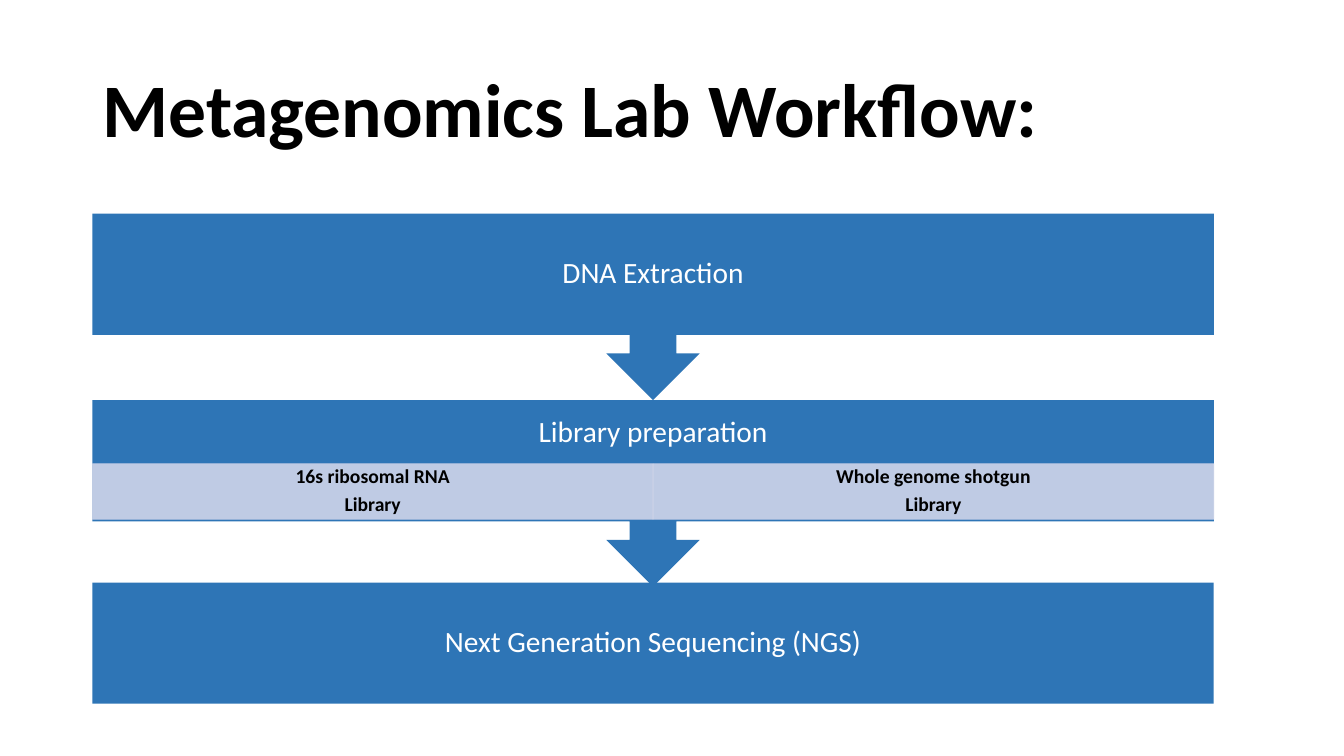
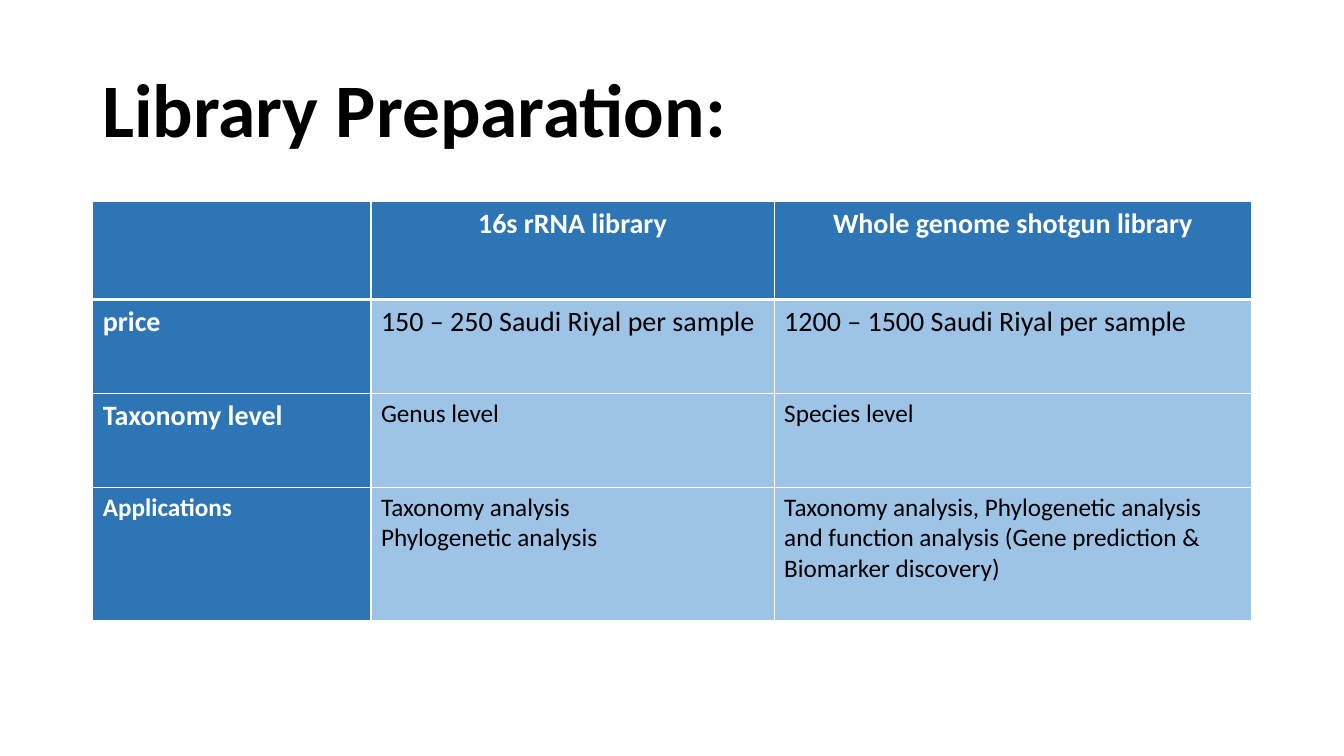
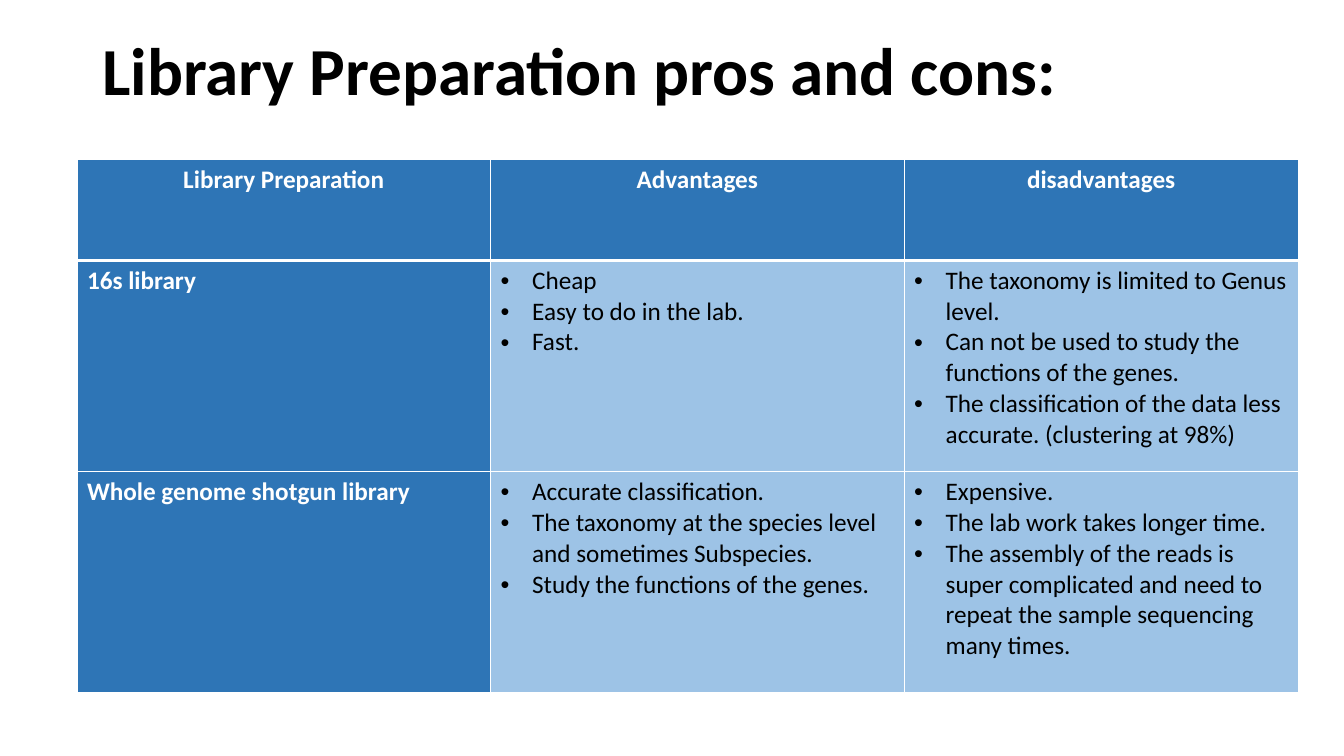
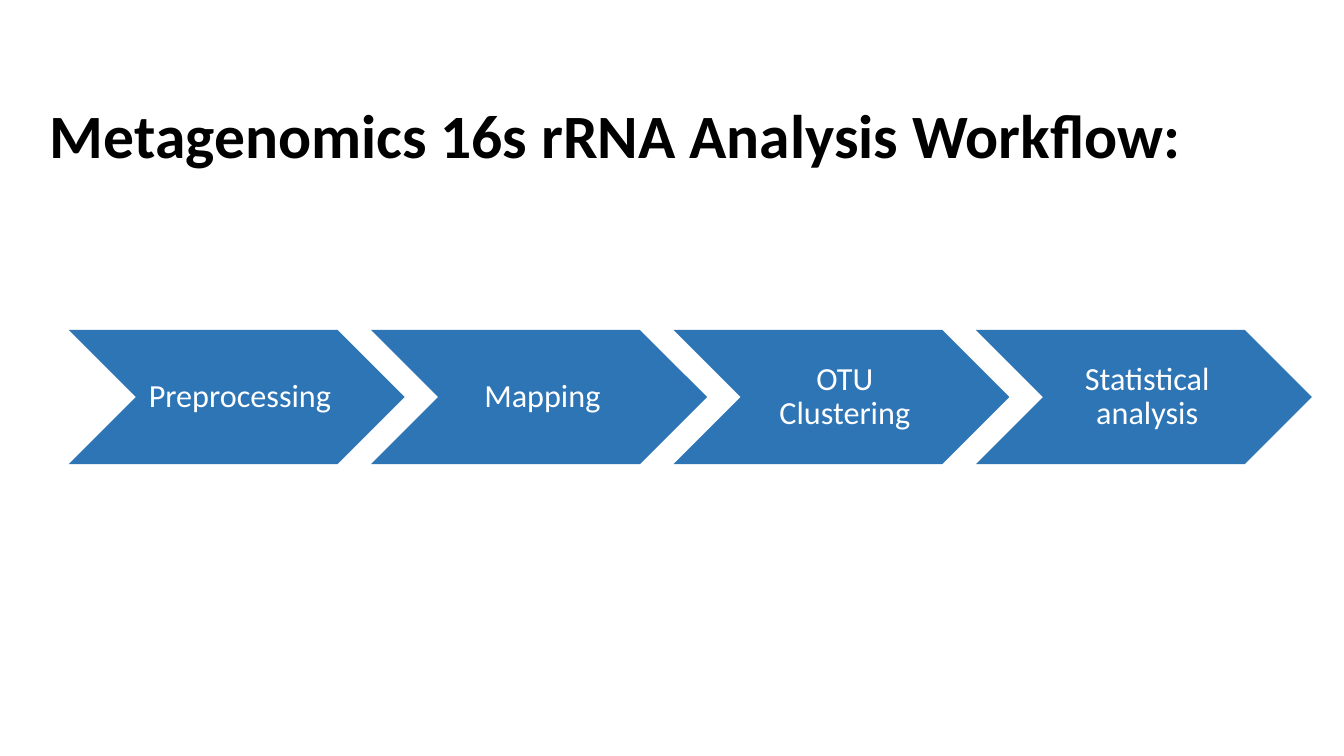
import dataclasses

import lxml.etree
import pptx
import pptx.dml.color
import pptx.enum.shapes
import pptx.enum.text
import pptx.oxml.ns
import pptx.util

Pt = pptx.util.Pt
SHAPE = pptx.enum.shapes.MSO_SHAPE
ALIGN = pptx.enum.text.PP_ALIGN
qn = pptx.oxml.ns.qn


@dataclasses.dataclass(frozen=True)
class Theme:
    font: str = "Calibri"
    blue: str = "2E75B6"
    sky: str = "9DC3E6"
    pale: str = "CFD5EA"
    white: str = "FFFFFF"
    black: str = "000000"
    title: int = 54
    title_medium: int = 48
    title_small: int = 44
    step: int = 23
    stage: int = 21
    cell_large: int = 20
    cell: int = 18
    option: int = 14


T = Theme()


def rgb(color):
    return pptx.dml.color.RGBColor.from_string(color)


def add_bullet(p):
    pPr = p._p.get_or_add_pPr()
    pPr.set("marL", str(Pt(22.5)))
    pPr.set("indent", str(-Pt(22.5)))
    lxml.etree.SubElement(pPr, qn("a:buFont"), typeface="Arial")
    lxml.etree.SubElement(pPr, qn("a:buChar"), char="•")


def put_text(tf, lines, size=T.cell, color=T.black, bold=False, align=ALIGN.LEFT,
             spacing=1.0, after=0, bullet=False):
    for i, line in enumerate(lines):
        p = tf.paragraphs[0] if i == 0 else tf.add_paragraph()
        p.alignment = align
        p.line_spacing = spacing
        p.space_before = Pt(0)
        p.space_after = Pt(after)
        if bullet:
            add_bullet(p)
        r = p.add_run()
        r.text = line
        r.font.name = T.font
        r.font.size = Pt(size)
        r.font.bold = bold
        r.font.color.rgb = rgb(color)


def add_slide(prs, title, size=T.title, box=(66, 29, 828, 104)):
    s = prs.slides.add_slide(prs.slide_layouts[5])
    sp = s.shapes.title
    sp.left, sp.top, sp.width, sp.height = map(Pt, box)
    tf = sp.text_frame
    tf.word_wrap = True
    tf.auto_size = pptx.enum.text.MSO_AUTO_SIZE.NONE
    tf.vertical_anchor = pptx.enum.text.MSO_ANCHOR.MIDDLE
    put_text(tf, [title], size=size, bold=True, spacing=0.9)
    return s


def add_block(s, kind, box, lines, fill=T.blue, insets=(0, 0, 0, 0), **fmt):
    sp = s.shapes.add_shape(kind, *map(Pt, box))
    sp.shadow.inherit = False
    sp.fill.solid()
    sp.fill.fore_color.rgb = rgb(fill)
    sp.line.fill.background()
    tf = sp.text_frame
    tf.word_wrap = True
    tf.vertical_anchor = pptx.enum.text.MSO_ANCHOR.MIDDLE
    tf.margin_left, tf.margin_top, tf.margin_right, tf.margin_bottom = map(Pt, insets)
    put_text(tf, lines, align=ALIGN.CENTER, spacing=0.9, **fmt)
    return sp


def set_alpha(fill_parent, percent):
    color = fill_parent.find(qn("a:solidFill")).find(qn("a:srgbClr"))
    lxml.etree.SubElement(color, qn("a:alpha"), val=str(percent * 1000))


def add_option(s, box, lines):
    sp = add_block(s, SHAPE.RECTANGLE, box, lines, fill=T.pale, insets=(8, 1.5, 8, 1.5),
                   size=T.option, bold=True, after=4.9)
    sp.line.color.rgb = rgb(T.pale)
    sp.line.width = Pt(0.5)
    spPr = sp._element.spPr
    set_alpha(spPr, 90)
    set_alpha(spPr.find(qn("a:ln")), 90)


def add_stages(s, box):
    x, y, w, h = box
    callout_h = 133.2
    bar_h = 86.4
    option_y, option_h = 45.5, 39.6
    fmt = dict(size=T.stage, color=T.white)
    add_block(s, SHAPE.RECTANGLE, (x, y + h - bar_h, w, bar_h),
              ["Next Generation Sequencing (NGS)"], **fmt)
    add_block(s, SHAPE.DOWN_ARROW_CALLOUT, (x, y + callout_h, w, callout_h),
              ["Library preparation"], insets=(0, 0, 0, option_h), **fmt)
    options = ["16s ribosomal RNA", "Whole genome shotgun"]
    option_w = w / len(options)
    for i, name in enumerate(options):
        add_option(s, (x + i * option_w, y + callout_h + option_y, option_w, option_h),
                   [name, "Library"])
    add_block(s, SHAPE.DOWN_ARROW_CALLOUT, (x, y, w, callout_h), ["DNA Extraction"], **fmt)


def add_steps(s, box, names):
    x, y, w, h = box
    step_w = 2.5 * h
    pitch = (w - step_w) / (len(names) - 1)
    for i, name in enumerate(names):
        add_block(s, SHAPE.CHEVRON, (x + i * pitch, y, step_w, h), [name],
                  insets=(7, 2, 2, 2), size=T.step, color=T.white)


def set_borders(cell, top, bottom):
    tcPr = cell._tc.get_or_add_tcPr()
    for tag, width in (("a:lnL", 1), ("a:lnR", 1), ("a:lnT", top), ("a:lnB", bottom)):
        ln = lxml.etree.SubElement(tcPr, qn(tag), w=str(Pt(width)))
        fill = lxml.etree.SubElement(ln, qn("a:solidFill"))
        lxml.etree.SubElement(fill, qn("a:srgbClr"), val=T.white)


def add_grid(s, x, y, widths, rows, bullet=False):
    heights = [row[0] for row in rows]
    table = s.shapes.add_table(len(rows), len(widths), Pt(x), Pt(y),
                               Pt(sum(widths)), Pt(sum(heights))).table
    table.first_row = False
    table.horz_banding = False
    for column, width in zip(table.columns, widths):
        column.width = Pt(width)
    for i, (height, label_size, body_size, texts) in enumerate(rows):
        table.rows[i].height = Pt(height)
        for j, lines in enumerate(texts):
            cell = table.cell(i, j)
            label = i == 0 or j == 0
            set_borders(cell, top=3 if i == 1 else 1, bottom=3 if i == 0 else 1)
            cell.fill.solid()
            cell.fill.fore_color.rgb = rgb(T.blue if label else T.sky)
            put_text(cell.text_frame, lines,
                     size=label_size if label else body_size,
                     color=T.white if label else T.black, bold=label,
                     align=ALIGN.CENTER if i == 0 else ALIGN.LEFT,
                     bullet=bullet and not label)


def main():
    prs = pptx.Presentation()
    prs.slide_width, prs.slide_height = Pt(960), Pt(540)

    s = add_slide(prs, "Metagenomics Lab Workflow:")
    add_stages(s, (66, 152.6, 801, 350))

    s = add_slide(prs, "Library Preparation:")
    add_grid(s, 66.3, 144, (198.7, 288, 341), [
        (70, T.cell_large, T.cell_large,
         [[], ["16s rRNA library"], ["Whole genome shotgun library"]]),
        (67, T.cell_large, T.cell_large,
         [["price"], ["150 – 250 Saudi Riyal per sample"],
          ["1200 – 1500 Saudi Riyal per sample"]]),
        (67, T.cell_large, T.cell,
         [["Taxonomy level"], ["Genus level"], ["Species level"]]),
        (95, T.cell, T.cell,
         [["Applications"], ["Taxonomy analysis", "Phylogenetic analysis"],
          ["Taxonomy analysis, Phylogenetic analysis and function analysis "
           "(Gene prediction & Biomarker discovery)"]]),
    ])

    s = add_slide(prs, "Library Preparation pros and cons:", T.title_medium, (66, 1, 828, 104))
    add_grid(s, 55, 114, (295.4, 295.4, 281.6), [
        (72, T.cell, T.cell, [["Library Preparation"], ["Advantages"], ["disadvantages"]]),
        (151, T.cell, T.cell,
         [["16s library"],
          ["Cheap", "Easy to do in the lab.", "Fast."],
          ["The taxonomy is limited to Genus level.",
           "Can not be used to study the functions of the genes.",
           "The classification of the data less accurate. (clustering at 98%)"]]),
        (158, T.cell, T.cell,
         [["Whole genome shotgun library"],
          ["Accurate classification.",
           "The taxonomy at the species level and sometimes Subspecies.",
           "Study the functions of the genes."],
          ["Expensive.", "The lab work takes longer time.",
           "The assembly of the reads is super complicated and need to repeat "
           "the sample sequencing many times."]]),
    ], bullet=True)

    s = add_slide(prs, "Metagenomics 16s rRNA Analysis Workflow:", T.title_small,
                  (28.5, 42, 930, 114))
    add_steps(s, (49, 235.6, 888, 96),
              ["Preprocessing", "Mapping", "OTU Clustering", "Statistical analysis"])

    prs.save("out.pptx")


if __name__ == "__main__":
    main()
